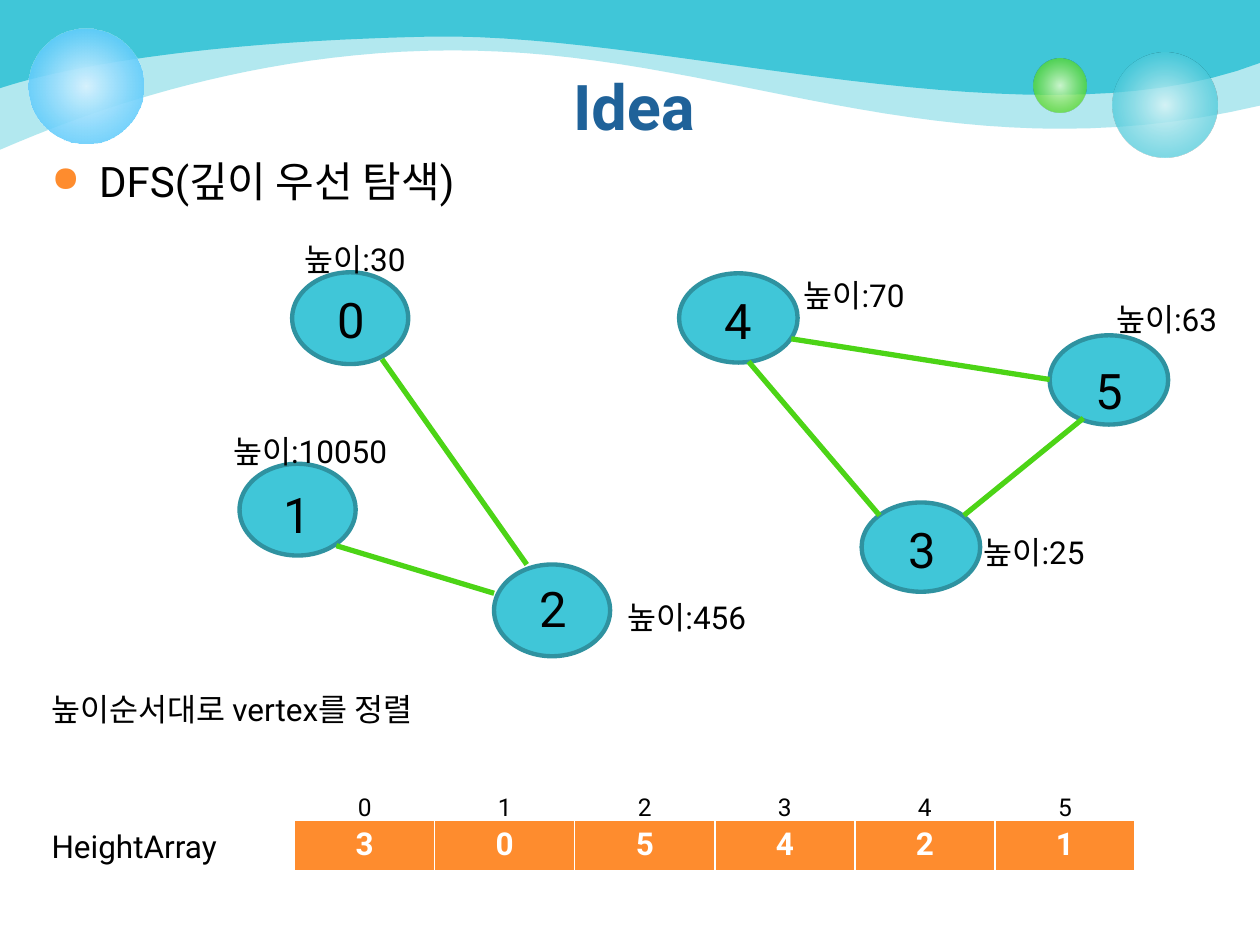
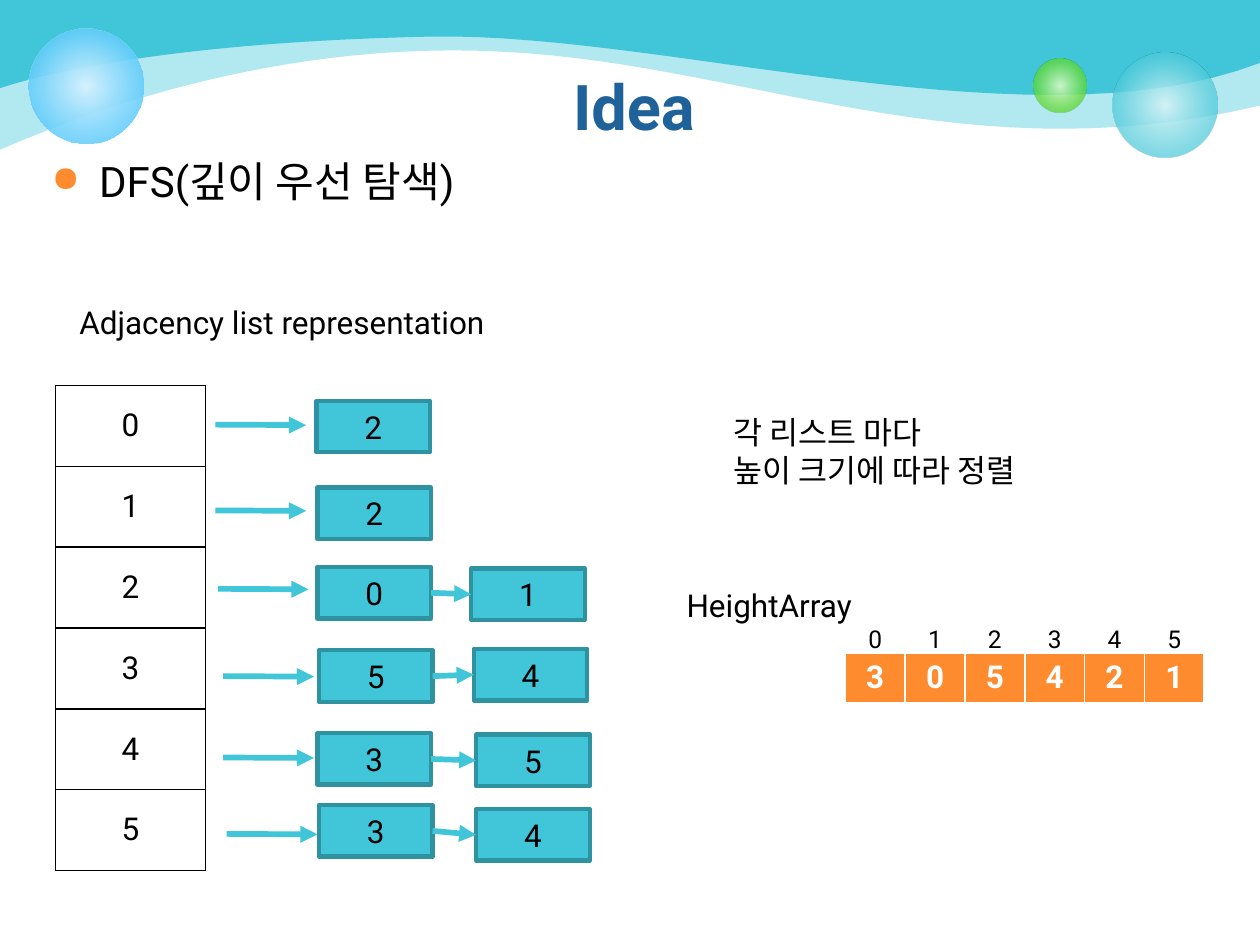
from lxml.etree import SubElement
from pptx import Presentation
from pptx.dml.color import RGBColor
from pptx.enum.shapes import MSO_CONNECTOR as LINE, MSO_SHAPE as SHAPE
from pptx.enum.text import MSO_ANCHOR as ANCHOR, PP_ALIGN as ALIGN
from pptx.oxml.ns import qn
from pptx.util import Cm, Pt

FONT = "Roboto"
BLACK = RGBColor(0x00, 0x00, 0x00)
WHITE = RGBColor(0xFF, 0xFF, 0xFF)
TEAL = RGBColor(0x40, 0xC6, 0xD8)
DARK_TEAL = RGBColor(0x2F, 0x92, 0xA0)
PALE_TEAL = RGBColor(0xD9, 0xF4, 0xF7)
GREEN = RGBColor(0x4C, 0xD4, 0x16)
PALE_GREEN = RGBColor(0xDA, 0xFA, 0xCD)
SKY = RGBColor(0x33, 0xBD, 0xFB)
PALE_SKY = RGBColor(0xD6, 0xF2, 0xFE)
ORANGE = RGBColor(0xFE, 0x8C, 0x2E)
NAVY = RGBColor(0x1F, 0x62, 0x99)

BACK_WAVE = [[(0, 3.02), (0.84, 2.67), (5, 0.79), (10.06, 1.04)],
             [(10.06, 1.04), (15.11, 1.27), (19.35, 3.56), (25.4, 2.13)]]
FRONT_WAVE = [[(0, 1.78), (1.14, 1.4), (3.89, 0.84), (8.66, 0.74)],
              [(8.66, 0.74), (13.44, 0.64), (20.83, 3.02), (25.4, 1.27)]]
BUBBLES = [(22.43, 1.07, 2.11, [(0, PALE_TEAL, 90), (76, TEAL, 70)]),
           (20.83, 1.19, 1.07, [(0, PALE_GREEN, 90), (76, GREEN, 70)]),
           (0.58, 0.58, 2.31, [(0, PALE_SKY, 100), (100, SKY, 80)])]

ROUND, WIDE = (2.34, 1.85), (2.39, 1.8)
NODES = [("0", (5.89, 5.49), ROUND, (6.55, 5.72), "높이:30", (5.89, 4.72)),
         ("1", (4.83, 9.35), ROUND, (5.46, 9.65), "높이:10050", (4.45, 8.59)),
         ("2", (9.96, 11.38), ROUND, (10.62, 11.53), "높이:456", (12.4, 11.94)),
         ("3", (17.37, 10.13), WIDE, (18.06, 10.34), "높이:25", (19.58, 10.62)),
         ("4", (13.69, 5.51), WIDE, (14.35, 5.74), "높이:70", (15.95, 5.44)),
         ("5", (21.16, 6.76), WIDE, (21.84, 7.14), "높이:63", (22.25, 5.92))]
EDGES = [((7.7, 7.24), (10.62, 11.38)), ((6.78, 11), (9.96, 11.96)),
         ((15.95, 6.83), (21.16, 7.65)), ((19.43, 10.39), (21.84, 8.43)),
         ((17.73, 10.39), (15.09, 7.29))]
ADJACENCY = [((4.34, 8.56), [("2", 6.38, 8.08)]),
             ((4.34, 10.29), [("2", 6.4, 9.83)]),
             ((4.39, 11.87), [("0", 6.4, 11.43), ("1", 9.5, 11.46)]),
             ((4.5, 13.63), [("5", 6.43, 13.11), ("4", 9.55, 13.08)]),
             ((4.5, 15.27), [("3", 6.4, 14.78), ("5", 9.6, 14.81)]),
             ((4.57, 16.81), [("3", 6.43, 16.23), ("4", 9.6, 16.31)])]
HEIGHT_ORDER = "305421"
INDEXES = "012345"


def bezier(a, b, c, d, steps=30):
    for i in range(1, steps + 1):
        t = i / steps
        u = 1 - t
        yield tuple(Cm(u**3 * p + 3 * u * u * t * q + 3 * u * t * t * r + t**3 * s)
                    for p, q, r, s in zip(a, b, c, d))


def add_color(parent, color, alpha=100):
    clr = SubElement(parent, qn("a:srgbClr"), val=str(color))
    if alpha < 100:
        SubElement(clr, qn("a:alpha"), val=str(alpha * 1000))


def write(tf, text, size=18, color=BLACK, bold=False, align=ALIGN.LEFT):
    for i, line in enumerate(text.split("\n")):
        p = tf.paragraphs[0] if i == 0 else tf.add_paragraph()
        p.alignment = align
        r = p.add_run()
        r.text = line
        r.font.name, r.font.size, r.font.bold = FONT, Pt(size), bold
        r.font.color.rgb = color


class Deck:
    def __init__(self):
        self.prs = Presentation()
        self.prs.slide_width, self.prs.slide_height = Cm(25.4), Cm(19.05)
        self.shapes = None

    def slide(self, title, topic, topic_height):
        self.shapes = self.prs.slides.add_slide(self.prs.slide_layouts[6]).shapes
        self.wave(BACK_WAVE, 40)
        self.wave(FRONT_WAVE)
        for x, y, size, stops in BUBBLES:
            self.bubble(x, y, size, stops)
        self.text(title, 1.35, 1.24, 22.86, 3.18, size=36, color=NAVY,
                  bold=True, align=ALIGN.CENTER)
        self.bullet(topic, 0.79, 3.02, 23.42, topic_height)

    def wave(self, curves, alpha=100):
        fb = self.shapes.build_freeform(0, 0)
        points = [tuple(Cm(v) for v in curves[0][0])]
        for curve in curves:
            points += bezier(*curve)
        fb.add_line_segments(points + [(Cm(25.4), 0)], close=True)
        s = self.paint(fb.convert_to_shape(), TEAL)
        if alpha < 100:
            clr = s.element.spPr.find(qn("a:solidFill"))[0]
            SubElement(clr, qn("a:alpha"), val=str(alpha * 1000))

    def paint(self, s, fill, line=None):
        s.shadow.inherit = False
        s.fill.solid()
        s.fill.fore_color.rgb = fill
        if line is None:
            s.line.fill.background()
        else:
            s.line.color.rgb = line
            s.line.width = Pt(2.5)
        return s

    def bubble(self, x, y, size, stops):
        s = self.shape(SHAPE.OVAL, x, y, size, size, line=None)
        s.fill.gradient()
        grad = s.element.spPr.find(qn("a:gradFill"))
        for child in list(grad):
            grad.remove(child)
        stop_list = SubElement(grad, qn("a:gsLst"))
        for pos, color, alpha in stops:
            add_color(SubElement(stop_list, qn("a:gs"), pos=str(pos * 1000)), color, alpha)
        focus = SubElement(grad, qn("a:path"), path="circle")
        SubElement(focus, qn("a:fillToRect"), {side: "50000" for side in "ltrb"})

    def shape(self, kind, x, y, w, h, text="", line=DARK_TEAL):
        s = self.shapes.add_shape(kind, Cm(x), Cm(y), Cm(w), Cm(h))
        self.paint(s, TEAL, line)
        if text:
            s.text_frame.vertical_anchor = ANCHOR.MIDDLE
            write(s.text_frame, text, align=ALIGN.CENTER)
        return s

    def text(self, text, x, y, w, h=1.02, **style):
        tf = self.shapes.add_textbox(Cm(x), Cm(y), Cm(w), Cm(h)).text_frame
        tf.word_wrap = True
        write(tf, text, **style)
        return tf

    def bullet(self, text, x, y, w, h):
        p = self.text(text, x, y, w, h, size=24).paragraphs[0]
        pPr = p._p.get_or_add_pPr()
        pPr.set("marL", str(Cm(0.96)))
        pPr.set("indent", str(Cm(-0.96)))
        SubElement(SubElement(pPr, qn("a:spcBef")), qn("a:spcPct"), val="20000")
        add_color(SubElement(pPr, qn("a:buClr")), ORANGE)
        SubElement(pPr, qn("a:buSzPct"), val="85000")
        SubElement(pPr, qn("a:buChar"), char="●")

    def line(self, start, end, color, width, arrow=False):
        c = self.shapes.add_connector(LINE.STRAIGHT, *(Cm(v) for v in start + end))
        c.line.color.rgb = color
        c.line.width = Pt(width)
        spPr = c.element.spPr
        if arrow:
            SubElement(spPr.find(qn("a:ln")), qn("a:tailEnd"), type="triangle")
        SubElement(spPr, qn("a:effectLst"))
        return c

    def arrow(self, start, end):
        return self.line(start, end, TEAL, 3.25, arrow=True)

    def link(self, left, right):
        c = self.arrow((0, 0), (1, 1))
        c.begin_connect(left, 3)
        c.end_connect(right, 1)

    def table(self, rows, x, y, w, row_h, anchor=ANCHOR.TOP, fill=None,
              border=None, bottom=1, **style):
        tbl = self.shapes.add_table(len(rows), len(rows[0]), Cm(x), Cm(y),
                                    Cm(w), Cm(row_h * len(rows))).table
        tbl.first_row = tbl.horz_banding = False
        for i, row in enumerate(rows):
            for j, value in enumerate(row):
                cell = tbl.cell(i, j)
                cell.vertical_anchor = anchor
                write(cell.text_frame, value, align=ALIGN.CENTER, **style)
                self.borders(cell, border, bottom)
                if fill is None:
                    cell.fill.background()
                else:
                    cell.fill.solid()
                    cell.fill.fore_color.rgb = fill

    def borders(self, cell, color, bottom):
        tcPr = cell._tc.get_or_add_tcPr()
        for side in "LRTB":
            width = bottom if side == "B" else 1
            ln = SubElement(tcPr, qn(f"a:ln{side}"), w=str(Pt(width)))
            if color is None:
                SubElement(ln, qn("a:noFill"))
            else:
                add_color(SubElement(ln, qn("a:solidFill")), color)

    def height_array(self, x, y, w, label_x, label_y):
        self.table([HEIGHT_ORDER], x, y, w, 1.04, fill=ORANGE, border=WHITE,
                   bottom=3, color=WHITE, bold=True)
        self.table([INDEXES], x, y - 0.88, w, 1.04, anchor=ANCHOR.BOTTOM, size=14)
        self.text("HeightArray", label_x, label_y, 4.47)


def graph_slide(deck):
    deck.slide("Idea", "DFS(깊이 우선 탐색)", 5.97)
    for number, spot, size, number_spot, height, height_spot in NODES:
        deck.shape(SHAPE.OVAL, *spot, *size)
        deck.text(number, *number_spot, 1.3, 1.45, size=28)
        deck.text(height, *height_spot, 4.24 if len(height) > 6 else 3.15)
    for start, end in EDGES:
        deck.line(start, end, GREEN, 3)
    deck.height_array(5.94, 16.54, 16.94, 0.79, 16.54)
    deck.text("높이순서대로 vertex를 정렬", 0.79, 13.79, 8.48)


def list_slide(deck):
    deck.slide("Idea", "DFS(깊이 우선 탐색)", 1.35)
    deck.table(list(INDEXES), 1.12, 7.77, 3.02, 1.63, anchor=ANCHOR.MIDDLE, border=BLACK)
    deck.text("Adjacency list representation", 1.35, 5.99, 8.94)
    for (x, y), neighbours in ADJACENCY:
        deck.arrow((x, y), (x + 1.83, y + 0.01))
        boxes = [deck.shape(SHAPE.RECTANGLE, bx, by, 2.29, 1.04, number)
                 for number, bx, by in neighbours]
        for left, right in zip(boxes, boxes[1:]):
            deck.link(left, right)
    deck.text("각 리스트 마다\n높이 크기에 따라 정렬", 14.53, 8.2, 7.06, 1.8)
    deck.height_array(17.04, 13.16, 7.24, 13.59, 11.68)


def main():
    deck = Deck()
    graph_slide(deck)
    list_slide(deck)
    deck.prs.save("out.pptx")


if __name__ == "__main__":
    main()
